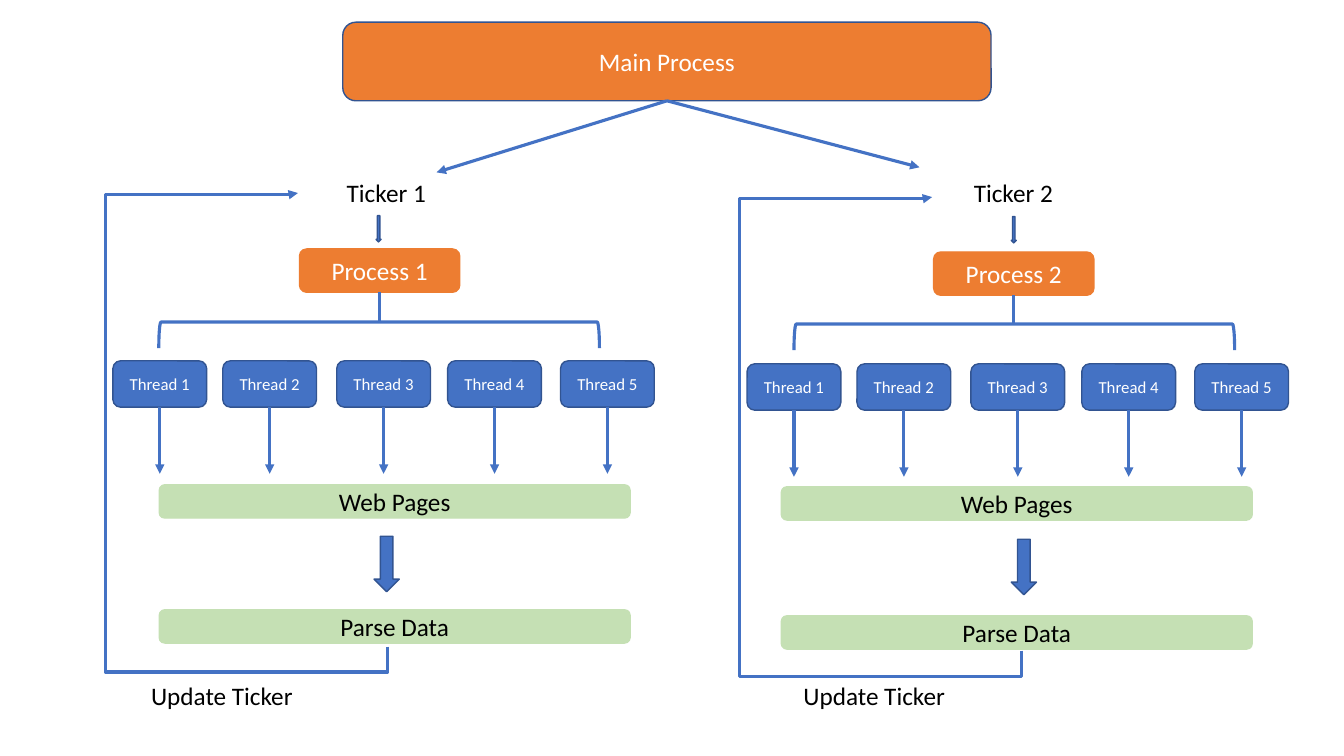
"""Build a slide showing a main process fanning out into two threaded ticker branches."""
from dataclasses import dataclass

from lxml import etree
from pptx import Presentation
from pptx.dml.color import RGBColor
from pptx.enum.shapes import MSO_CONNECTOR, MSO_SHAPE
from pptx.enum.text import MSO_ANCHOR, MSO_AUTO_SIZE, PP_ALIGN
from pptx.oxml.ns import qn
from pptx.shapes.autoshape import Shape
from pptx.shapes.connector import Connector
from pptx.slide import Slide
from pptx.util import Inches, Pt

ROUNDED = MSO_SHAPE.ROUNDED_RECTANGLE
DOWN_ARROW = MSO_SHAPE.DOWN_ARROW
LEFT_BRACKET = MSO_SHAPE.LEFT_BRACKET
STRAIGHT = MSO_CONNECTOR.STRAIGHT
ELBOW = MSO_CONNECTOR.ELBOW
MIDDLE = MSO_ANCHOR.MIDDLE
CENTER = PP_ALIGN.CENTER
GROW = MSO_AUTO_SIZE.SHAPE_TO_FIT_TEXT

ORANGE = RGBColor(0xED, 0x7D, 0x31)
BLUE = RGBColor(0x44, 0x72, 0xC4)
NAVY = RGBColor(0x32, 0x54, 0x91)
GREEN = RGBColor(0xC5, 0xE0, 0xB4)
WHITE = RGBColor(0xFF, 0xFF, 0xFF)
BLACK = RGBColor(0x00, 0x00, 0x00)

FONT = "Calibri"
BOTTOM_SITE = 2
THREAD_OFFSETS = (0, 1.09, 2.22, 3.32, 4.44)
LOOP_ADJUSTMENTS = (-5600, 314500, 99700)

Point = tuple[float, float]


@dataclass(frozen=True)
class Frame:
    """Position and size in inches."""
    left: float
    top: float
    width: float
    height: float


@dataclass(frozen=True)
class Look:
    """Colours and text size of a box."""
    fill: RGBColor
    line: RGBColor
    text: RGBColor = WHITE
    size: int = 18


@dataclass(frozen=True)
class Branch:
    """Top-left corners, in inches, of the parts of one ticker branch."""
    number: int
    ticker: Point
    main_arrow_end: Point
    small_arrow: Point
    process: Point
    bracket: Point
    threads: Point
    web_pages: Point
    big_arrow: Point
    parse_data: Point
    loop: Point
    update: Point


MAIN_LOOK = Look(ORANGE, NAVY)
PROCESS_LOOK = Look(ORANGE, ORANGE)
THREAD_LOOK = Look(BLUE, NAVY, size=12)
STAGE_LOOK = Look(GREEN, GREEN, BLACK)
ARROW_LOOK = Look(BLUE, NAVY)

BRANCHES = (
    Branch(1, ticker=(3.34, 1.71), main_arrow_end=(4.33, 1.71), small_arrow=(3.73, 2.14),
           process=(2.97, 2.47), bracket=(3.63, 1.14), threads=(1.12, 3.58),
           web_pages=(1.58, 4.81), big_arrow=(3.71, 5.32), parse_data=(1.58, 6.05),
           loop=(1.15, 3.72), update=(1.4, 6.7)),
    Branch(2, ticker=(9.56, 1.71), main_arrow_end=(9.12, 1.66), small_arrow=(10.03, 2.15),
           process=(9.26, 2.5), bracket=(9.93, 1.16), threads=(7.41, 3.61),
           web_pages=(7.75, 4.83), big_arrow=(10.03, 5.35), parse_data=(7.75, 6.11),
           loop=(7.44, 3.76), update=(7.87, 6.7)),
)


def add_box(page: Slide, kind: MSO_SHAPE, frame: Frame, look: Look, text: str = "") -> Shape:
    """Add a filled preset shape with optional centred text."""
    box = page.shapes.add_shape(kind, Inches(frame.left), Inches(frame.top),
                                Inches(frame.width), Inches(frame.height))
    box.shadow.inherit = False
    box.fill.solid()
    box.fill.fore_color.rgb = look.fill
    box.line.color.rgb = look.line
    box.line.width = Pt(1)
    if text:
        box.text_frame.vertical_anchor = MIDDLE
        box.text_frame.text = text
        para = box.text_frame.paragraphs[0]
        para.alignment = CENTER
        style_text(para.font, look.size, look.text)
    return box


def style_text(font, size: int, color: RGBColor) -> None:
    """Set the typeface, size and colour of a font."""
    font.name = FONT
    font.size = Pt(size)
    font.color.rgb = color


def add_label(page: Slide, frame: Frame, text: str) -> None:
    """Add an unwrapped black text label."""
    box = page.shapes.add_textbox(Inches(frame.left), Inches(frame.top),
                                  Inches(frame.width), Inches(frame.height))
    box.text_frame.word_wrap = False
    box.text_frame.auto_size = GROW
    box.text_frame.text = text
    style_text(box.text_frame.paragraphs[0].font, 18, BLACK)


def style_connector(connector: Connector, arrow: bool) -> None:
    """Give a connector its blue line, no shadow and optionally an arrowhead."""
    connector.line.color.rgb = BLUE
    connector.line.width = Pt(2.25)
    properties = connector.element.spPr
    if arrow:
        etree.SubElement(properties.find(qn("a:ln")), qn("a:tailEnd"), type="triangle")
    etree.SubElement(properties, qn("a:effectLst"))


def connect_below(page: Slide, box: Shape, end: Point, arrow: bool = True) -> None:
    """Draw a straight connector from the bottom middle of a box to a point."""
    line = page.shapes.add_connector(STRAIGHT, box.left + box.width // 2, box.top + box.height,
                                     Inches(end[0]), Inches(end[1]))
    line.begin_connect(box, BOTTOM_SITE)
    style_connector(line, arrow)


def add_loop(page: Slide, frame: Frame) -> None:
    """Draw the five-part elbow arrow leading from the parsed data to the ticker."""
    loop = page.shapes.add_connector(ELBOW, Inches(frame.left + frame.width), Inches(frame.top),
                                     Inches(frame.left), Inches(frame.top + frame.height))
    properties = loop.element.spPr
    properties.find(qn("a:xfrm")).set("rot", "5400000")
    geometry = properties.find(qn("a:prstGeom"))
    geometry.set("prst", "bentConnector5")
    guides = geometry.find(qn("a:avLst"))
    for index, value in enumerate(LOOP_ADJUSTMENTS, start=1):
        etree.SubElement(guides, qn("a:gd"), name=f"adj{index}", fmla=f"val {value}")
    style_connector(loop, arrow=True)


def add_bracket(page: Slide, frame: Frame) -> None:
    """Draw the bracket that spans the threads."""
    bracket = page.shapes.add_shape(LEFT_BRACKET, Inches(frame.left), Inches(frame.top),
                                    Inches(frame.width), Inches(frame.height))
    bracket.rotation = 90
    bracket.shadow.inherit = False
    bracket.fill.background()
    bracket.line.color.rgb = BLUE
    bracket.line.width = Pt(2.25)


def add_branch(page: Slide, branch: Branch) -> None:
    """Draw every part of one ticker branch."""
    process = add_box(page, ROUNDED, Frame(*branch.process, 1.59, 0.43), PROCESS_LOOK,
                      f"Process {branch.number}")
    left, top = branch.process
    connect_below(page, process, (left + 1.59 / 2, top + 0.72), arrow=False)
    add_bracket(page, Frame(*branch.bracket, 0.26, 4.37))
    add_label(page, Frame(*branch.ticker, 0.99, 0.4), f"Ticker {branch.number}")
    add_box(page, DOWN_ARROW, Frame(*branch.small_arrow, 0.05, 0.26), ARROW_LOOK)
    left, top = branch.threads
    for index, offset in enumerate(THREAD_OFFSETS, start=1):
        thread = add_box(page, ROUNDED, Frame(left + offset, top, 0.93, 0.46), THREAD_LOOK,
                         f"Thread {index}")
        connect_below(page, thread, (left + offset + 0.93 / 2, top + 1.12))
    add_box(page, ROUNDED, Frame(*branch.web_pages, 4.67, 0.33), STAGE_LOOK, "Web Pages")
    add_box(page, DOWN_ARROW, Frame(*branch.big_arrow, 0.25, 0.55), ARROW_LOOK)
    add_box(page, ROUNDED, Frame(*branch.parse_data, 4.67, 0.33), STAGE_LOOK, "Parse Data")
    add_loop(page, Frame(*branch.loop, 4.5, 0.89))
    add_label(page, Frame(*branch.update, 1.62, 0.4), "Update Ticker")


def main() -> None:
    """Build and save the deck."""
    deck = Presentation()
    deck.slide_width = Inches(13.33)
    deck.slide_height = Inches(7.5)
    page = deck.slides.add_slide(deck.slide_layouts[6])
    for branch in BRANCHES:
        add_branch(page, branch)
    main_process = add_box(page, ROUNDED, Frame(3.4, 0.22, 6.43, 0.78), MAIN_LOOK, "Main Process")
    for branch in BRANCHES:
        connect_below(page, main_process, branch.main_arrow_end)
    deck.save("out.pptx")


if __name__ == "__main__":
    main()
